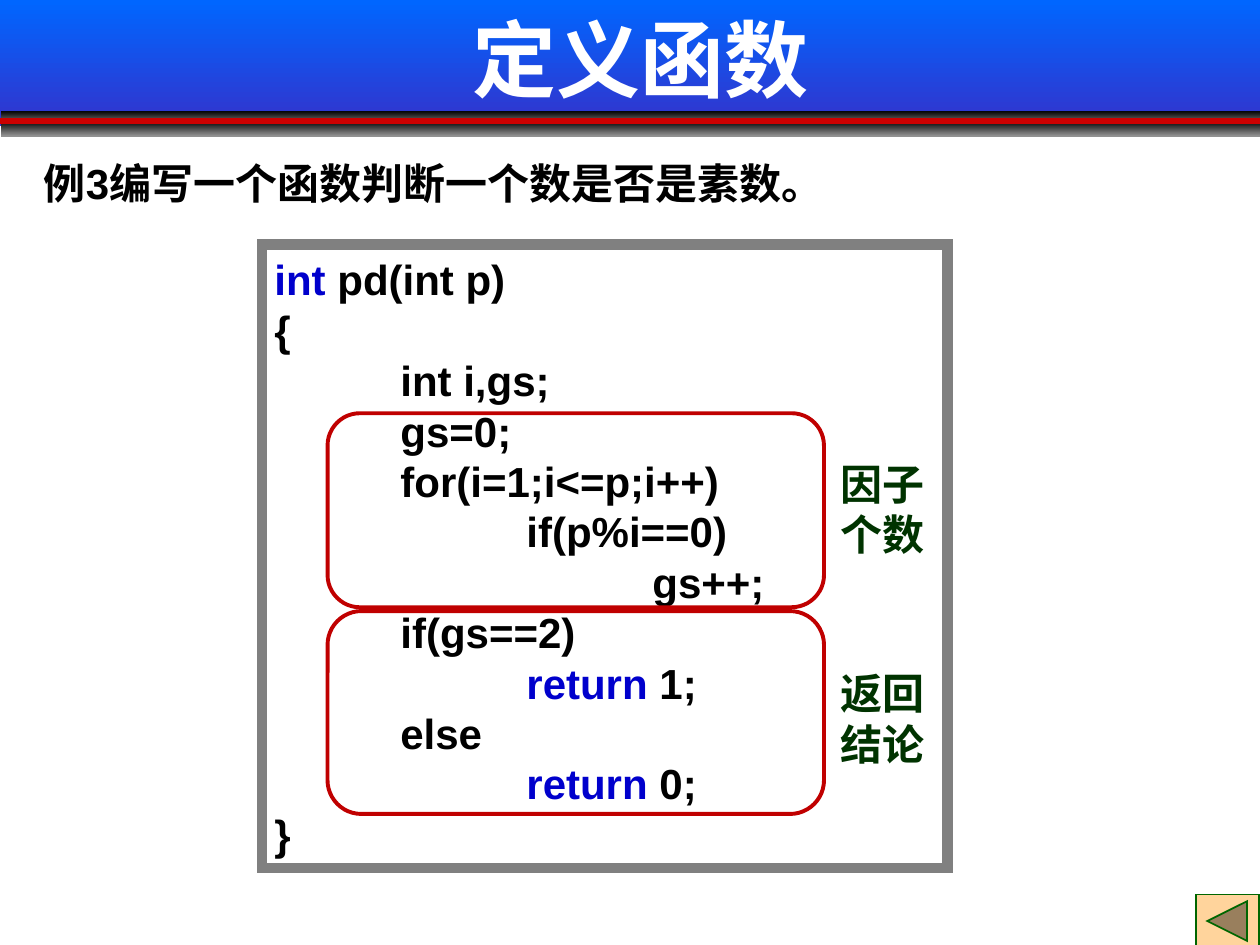
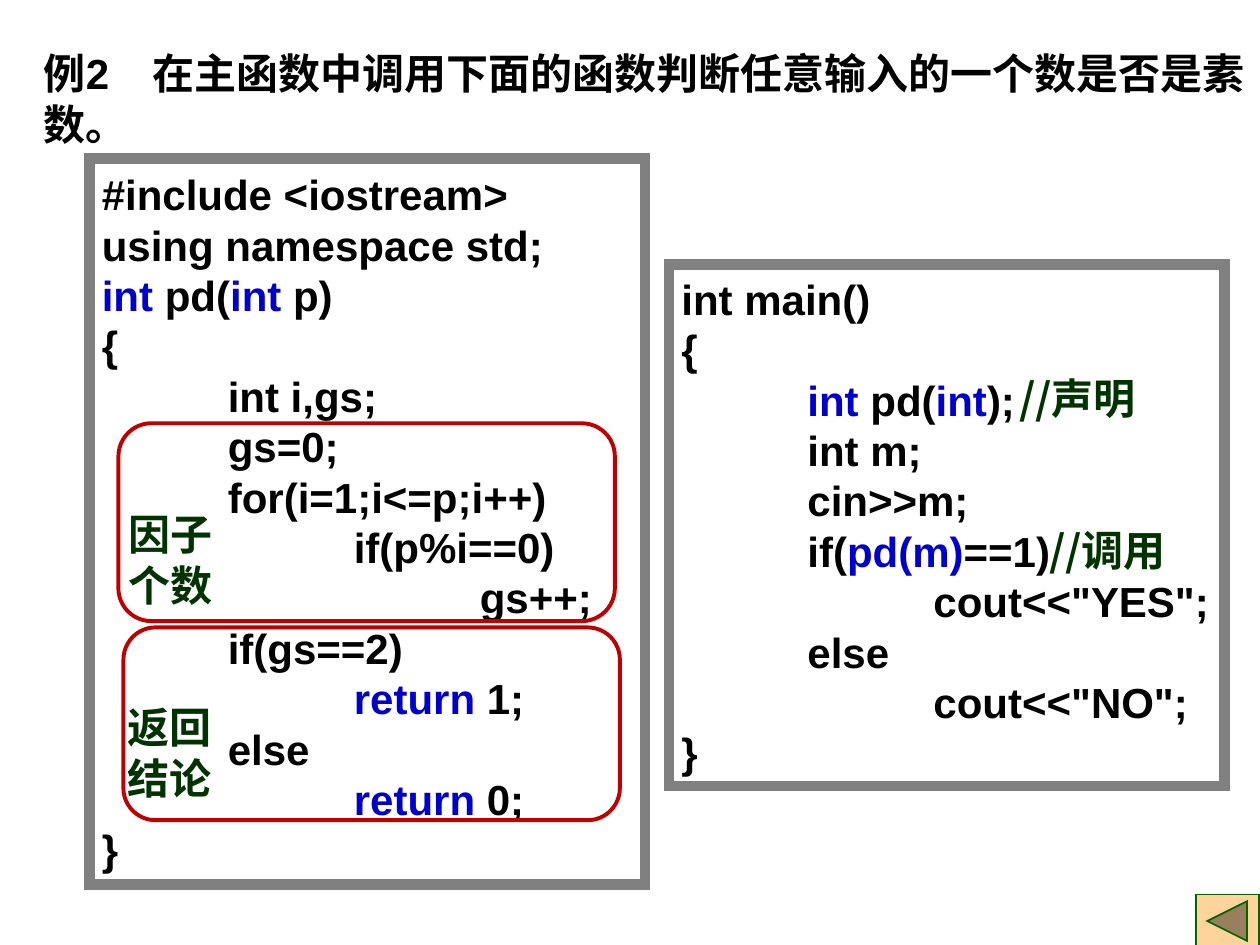
from dataclasses import dataclass

from lxml import etree
from pptx import Presentation
from pptx.dml.color import RGBColor
from pptx.enum.shapes import MSO_CONNECTOR, MSO_SHAPE
from pptx.enum.text import MSO_ANCHOR, MSO_AUTO_SIZE, PP_ALIGN
from pptx.oxml.ns import qn
from pptx.util import Emu, Inches, Pt

RECT, ROUND_RECT = MSO_SHAPE.RECTANGLE, MSO_SHAPE.ROUNDED_RECTANGLE
BACK_BUTTON = MSO_SHAPE.ACTION_BUTTON_BACK_OR_PREVIOUS
STRAIGHT = MSO_CONNECTOR.STRAIGHT
TOP, MIDDLE = MSO_ANCHOR.TOP, MSO_ANCHOR.MIDDLE
LEFT, CENTER = PP_ALIGN.LEFT, PP_ALIGN.CENTER
GROW, FIXED = MSO_AUTO_SIZE.SHAPE_TO_FIT_TEXT, MSO_AUTO_SIZE.NONE

WIDTH, HEIGHT = Inches(10), Inches(7.5)
COLS, ROWS = 100, 75
TITLE_ONLY, BLANK = 5, 6
CODE_TABS = (1, 2, 3)  # inches, one stop per nesting level


@dataclass(frozen=True)
class Theme:
    latin: str = "Arial"
    cjk: str = "Noto Sans CJK SC"
    title_size: int = 48
    text_size: int = 24
    paper: str = "FFFFFF"
    ink: str = "000000"
    keyword: str = "0000CC"
    note: str = "003300"
    frame: str = "808080"
    outline: str = "C00000"
    rule: str = "CC0000"
    band: tuple[str, str] = ("0066FF", "3333CC")
    shade: tuple[str, str] = ("000000", "929292")
    button: str = "FFD49C"
    button_edge: str = "006600"


@dataclass(frozen=True)
class Box:
    """Place and size in grid columns and rows."""
    col: float
    row: float
    cols: float
    rows: float

    def emu(self) -> tuple[Emu, ...]:
        x, y = WIDTH / COLS, HEIGHT / ROWS
        return tuple(Emu(round(v)) for v in
                     (self.col * x, self.row * y, self.cols * x, self.rows * y))


@dataclass(frozen=True)
class Step:
    """A rounded outline around some code lines, with its note."""
    text: str
    outline: Box
    note: Box


THEME = Theme()

# Code: backticks enclose highlighted words
PD_FROM_DECLARATIONS = """{
\tint i,gs;
\tgs=0;
\tfor(i=1;i<=p;i++)
\t\tif(p%i==0)
\t\t\tgs++;
\tif(gs==2)
\t\t`return` 1;
\telse
\t\t`return` 0;
}"""
PD_CODE = "`int `pd(int p)\n" + PD_FROM_DECLARATIONS
PROGRAM_CODE = ("#include <iostream>\nusing namespace std;\n"
                "`int `pd(`int` p)\n" + PD_FROM_DECLARATIONS)
MAIN_CODE = """int main()
{
\t`int `pd(`int`);
\tint m;
\tcin>>m;
\tif(`pd(m)`==1)
\t\tcout<<"YES";
\telse
\t\tcout<<"NO";
}"""
COUNT, RESULT = "因子个数", "返回结论"


# Text
def write(shape, text: str, *, size: int = THEME.text_size, color: str = THEME.ink,
          latin: str = THEME.latin, align=LEFT, anchor=TOP, fit=GROW,
          tabs: tuple[float, ...] = ()) -> None:
    tf = shape.text_frame
    tf.word_wrap, tf.auto_size, tf.vertical_anchor = True, fit, anchor
    for i, line in enumerate(text.split("\n")):
        p = tf.add_paragraph() if i else tf.paragraphs[0]
        p.alignment = align
        if tabs:
            stops = etree.SubElement(p._p.get_or_add_pPr(), qn("a:tabLst"))
            for tab in tabs:
                etree.SubElement(stops, qn("a:tab"), pos=str(Inches(tab)), algn="l")
        for n, part in enumerate(line.split("`")):
            if not part:
                continue
            r = p.add_run()
            r.text = part
            r.font.size, r.font.bold, r.font.name = Pt(size), True, latin
            r.font.color.rgb = RGBColor.from_string(THEME.keyword if n % 2 else color)
            east_asian = etree.Element(qn("a:ea"), typeface=THEME.cjk)
            r._r.rPr.find(qn("a:latin")).addnext(east_asian)


def add_text(s, box: Box, text: str, **fmt) -> None:
    write(s.shapes.add_textbox(*box.emu()), text, **fmt)


# Shapes
def add_shape(s, kind, box: Box, *, fill: str | tuple[str, str] | None = None,
              line: str | None = None, weight: float = 1):
    sp = s.shapes.add_shape(kind, *box.emu())
    sp.shadow.inherit = False
    if fill is None:
        sp.fill.background()
    elif isinstance(fill, str):
        sp.fill.solid()
        sp.fill.fore_color.rgb = RGBColor.from_string(fill)
    else:
        sp.fill.gradient()
        sp.fill.gradient_angle = 270
        for stop, color in zip(sp.fill.gradient_stops, fill):
            stop.color.rgb = RGBColor.from_string(color)
    if line is None:
        sp.line.fill.background()
    else:
        sp.line.color.rgb = RGBColor.from_string(line)
        sp.line.width = Pt(weight)
        # square corners
        ln = sp._element.spPr.find(qn("a:ln"))
        etree.SubElement(ln, qn("a:miter"), lim="800000")
    return sp


def add_code(s, box: Box, code: str) -> None:
    frame = add_shape(s, RECT, box, line=THEME.frame, weight=6)
    write(frame, code, anchor=MIDDLE, tabs=CODE_TABS)


def add_step(s, step: Step) -> None:
    add_shape(s, ROUND_RECT, step.outline, line=THEME.outline, weight=2.25)
    add_text(s, step.note, step.text, color=THEME.note)


def add_back_button(s) -> None:
    add_shape(s, BACK_BUTTON, Box(94.9, 71, 5, 4.2),
              fill=THEME.button, line=THEME.button_edge)


def add_title_band(s, text: str) -> None:
    add_shape(s, RECT, Box(0, 0, COLS, 10), fill=THEME.band)
    for row in (8.8, 9.6):
        add_shape(s, RECT, Box(0.1, row, COLS - 0.1, 1.2), fill=THEME.shade)
    x, y, w, _ = Box(0, 9.6, COLS, 0).emu()
    rule = s.shapes.add_connector(STRAIGHT, x, y, x + w, y)
    rule.line.color.rgb = RGBColor.from_string(THEME.rule)
    rule.line.width = Pt(3)
    etree.SubElement(rule._element.spPr, qn("a:effectLst"))

    title = s.shapes.title
    title.left, title.top, title.width, title.height = Box(8.3, -0.8, 85, 10.8).emu()
    write(title, text, size=THEME.title_size, color=THEME.paper,
          align=CENTER, anchor=MIDDLE, fit=FIXED)
    s.shapes._spTree.append(title._element)  # bring in front of the band


# Slides
def build_definition(prs) -> None:
    s = prs.slides.add_slide(prs.slide_layouts[TITLE_ONLY])
    add_title_band(s, "定义函数")
    add_text(s, Box(2.5, 12, 97.5, 5), "例3编写一个函数判断一个数是否是素数。")
    add_code(s, Box(20.8, 19.4, 54.4, 49.5), PD_CODE)
    for step in (
        Step(COUNT, Box(26, 32.8, 39.4, 15.4), Box(65.7, 35.9, 9.5, 9.1)),
        Step(RESULT, Box(26, 48.5, 39.4, 16.1), Box(65.7, 52.5, 9.5, 9.1)),
    ):
        add_step(s, step)
    add_back_button(s)


def build_call(prs) -> None:
    s = prs.slides.add_slide(prs.slide_layouts[BLANK])
    add_text(s, Box(2.5, 3.3, 97.5, 9.1),
             "例2\t在主函数中调用下面的函数判断任意输入的一个数是否是素数。", tabs=(0.86,))
    add_code(s, Box(7.1, 12.6, 44.1, 57.6), PROGRAM_CODE)
    add_code(s, Box(53.1, 21, 44.1, 41.4), MAIN_CODE)
    for step in (
        Step(COUNT, Box(9.4, 33.6, 39.4, 15.7), Box(9.2, 39.9, 9.5, 9.1)),
        Step(RESULT, Box(9.8, 49.8, 39.4, 15.3), Box(9.1, 55.2, 9.5, 9.1)),
    ):
        add_step(s, step)
    for comment, col, row in (("//声明", 79.9, 29.1), ("//调用", 82.3, 41.1)):
        add_text(s, Box(col, row, 16.5, 5.1), comment,
                 color=THEME.note, latin=THEME.cjk)
    add_back_button(s)


def main() -> None:
    prs = Presentation()
    prs.slide_width, prs.slide_height = WIDTH, HEIGHT
    build_definition(prs)
    build_call(prs)
    prs.save("out.pptx")


if __name__ == "__main__":
    main()
